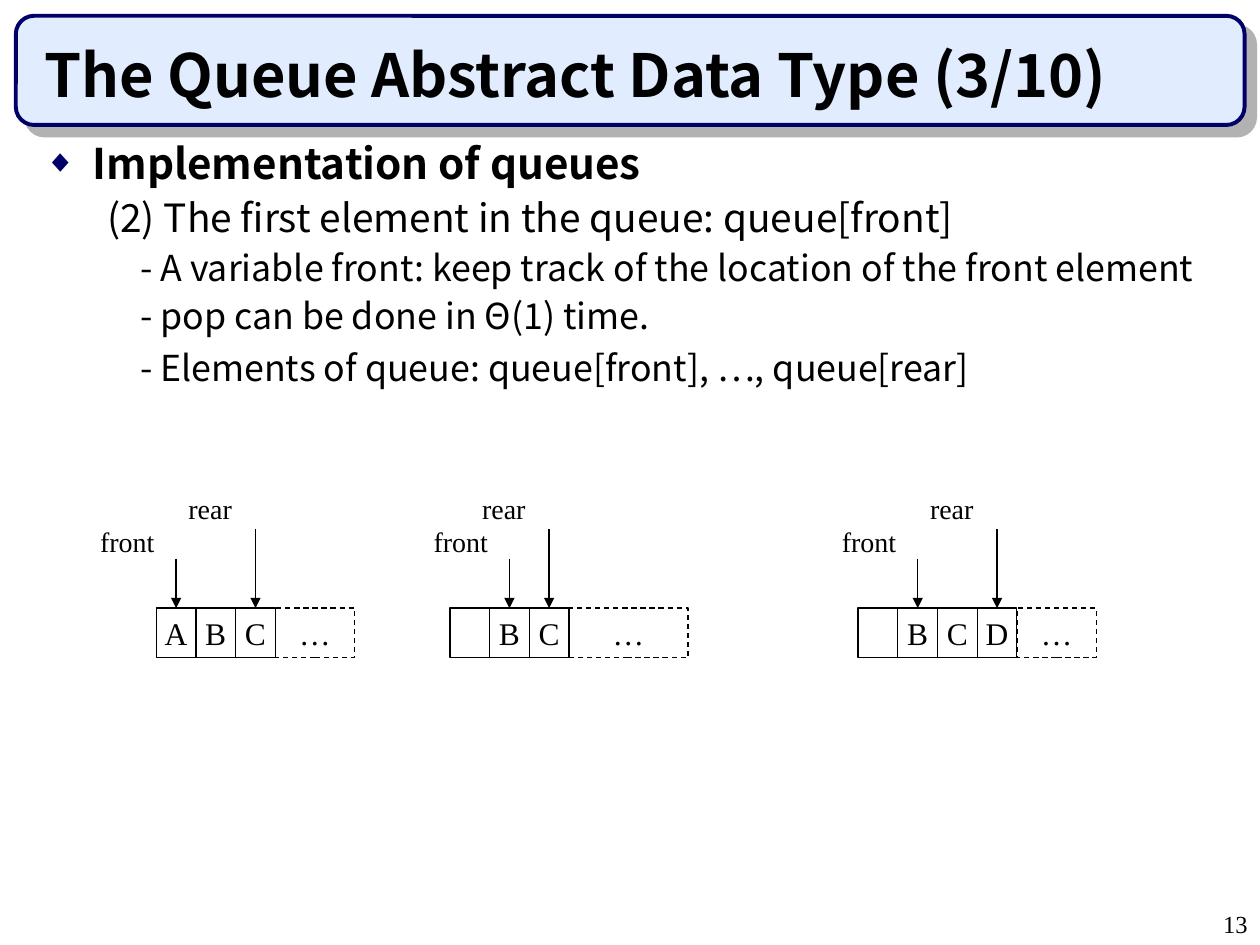
from lxml import etree
from pptx import Presentation
from pptx import util as u
from pptx.dml import color
from pptx.enum import dml, shapes, text
from pptx.oxml import ns

HUES = {"ink": "000000", "navy": "000066", "sky": "E1ECFF", "shade": "B2B2B2"}
SANS, SERIF = "Noto Sans CJK KR", "Times New Roman"
CELL, TALL, TOP = 0.8, 1, 12.26
ITEMS = [
    ("Implementation of queues", 0, 0.97, -0.97, 24.1, 0),
    ("(2) The first element in the queue: queue[front]", 1, 2.06, -0.79, 22.2, 6),
    ("- A variable front: keep track of the location of the front element", 1, 1.93, 0, 20.4, 5.5),
    ("- pop can be done in Θ(1) time.", 1, 1.93, 0, 20.4, 5.5),
    ("- Elements of queue: queue[front], …, queue[rear]", 1, 1.93, 0, 20.4, 7.8),
]
QUEUES = [
    (3.15, ["A", "B", "C"], 1.6, 0, 2),
    (9.07, ["", "B", "C"], 2.4, 1, 2),
    (17.3, ["", "B", "C", "D"], 1.6, 1, 3),
]


def rgb(name):
    return color.RGBColor.from_string(HUES[name])


def apply(item, form):
    for key, value in form.items():
        setattr(item, key, value)


def place(item, left, top, width, height):
    apply(item, dict(left=u.Cm(left), top=u.Cm(top), width=u.Cm(width), height=u.Cm(height)))


def add(node, tag, **attrs):
    return etree.SubElement(node, ns.qn(tag), attrs)


def write(para, words, size, font=SERIF, bold=False, align=text.PP_ALIGN.LEFT):
    para.alignment = align
    run = para.add_run()
    run.text = words
    apply(run.font, dict(size=u.Pt(size), name=font, bold=bold))
    run.font.color.rgb = rgb("ink")


def add_label(slide, words, left, top, width, size, align=text.PP_ALIGN.LEFT):
    box = slide.shapes.add_textbox(u.Cm(left), u.Cm(top), u.Cm(width), u.Cm(0.94))
    box.text_frame.word_wrap = True
    write(box.text_frame.paragraphs[0], words, size, align=align)


def add_banner(slide):
    box = slide.shapes.add_shape(
        shapes.MSO_SHAPE.ROUNDED_RECTANGLE, u.Cm(0.32), u.Cm(0.32), u.Cm(24.77), u.Cm(2.2))
    box.shadow.inherit = False
    box.fill.solid()
    box.fill.fore_color.rgb = rgb("sky")
    box.line.color.rgb = rgb("navy")
    box.line.width = u.Pt(2.25)
    effects = box._element.spPr.find(ns.qn("a:effectLst"))
    shade = add(effects, "a:outerShdw", blurRad="0", dist=str(u.Pt(8.5)), dir="2700000",
                algn="ctr", rotWithShape="0")
    add(shade, "a:srgbClr", val=HUES["shade"])
    slide.shapes._spTree.insert(2, box._element)


def fill_title(title):
    place(title, 0.64, 0.64, 23.92, 1.69)
    apply(title.text_frame, dict(word_wrap=True, auto_size=text.MSO_AUTO_SIZE.NONE,
                                 vertical_anchor=text.MSO_ANCHOR.BOTTOM))
    write(title.text_frame.paragraphs[0], "The Queue Abstract Data Type (3/10)", 34, SANS, True)


def fill_body(body):
    place(body, 0.64, 2.75, 23.92, 6.38)
    frame = body.text_frame
    apply(frame, dict(word_wrap=True, auto_size=text.MSO_AUTO_SIZE.NONE,
                      vertical_anchor=text.MSO_ANCHOR.TOP))
    for index, (words, level, left, indent, size, gap) in enumerate(ITEMS):
        para = frame.add_paragraph() if index else frame.paragraphs[0]
        props = para._p.get_or_add_pPr()
        props.set("marL", str(u.Cm(left)))
        props.set("indent", str(u.Cm(indent)))
        if level:
            add(props, "a:buNone")
        else:
            add(add(props, "a:buClr"), "a:srgbClr", val=HUES["navy"])
            add(props, "a:buSzPct", val="75000")
            add(props, "a:buChar", char="◆")
        apply(para, dict(level=level, line_spacing=0.9, space_before=u.Pt(gap)))
        write(para, words, size, SANS, not level, text.PP_ALIGN.JUSTIFY)


def add_cell(slide, words, left, width=CELL, dash=None):
    cell = slide.shapes.add_shape(
        shapes.MSO_SHAPE.RECTANGLE, u.Cm(left), u.Cm(TOP), u.Cm(width), u.Cm(TALL))
    cell.shadow.inherit = False
    cell.fill.background()
    cell.line.color.rgb = rgb("ink")
    apply(cell.line, dict(width=u.Pt(0.75), dash_style=dash))
    if words:
        apply(cell.text_frame, dict(margin_left=0, margin_right=0, word_wrap=False,
                                    vertical_anchor=text.MSO_ANCHOR.MIDDLE))
        write(cell.text_frame.paragraphs[0], words, 18, align=text.PP_ALIGN.CENTER)
    return cell


def add_mark(slide, words, cell, shift, top, start):
    mid = cell.left + cell.width // 2
    arrow = slide.shapes.add_connector(
        shapes.MSO_CONNECTOR.STRAIGHT, mid, u.Cm(start), mid, cell.top)
    arrow.end_connect(cell, 0)
    arrow.line.color.rgb = rgb("ink")
    arrow.line.width = u.Pt(0.75)
    add(arrow.line._get_or_add_ln(), "a:tailEnd", type="triangle")
    add(arrow._element.spPr, "a:effectLst")
    add_label(slide, words, u.Length(mid).cm - shift, top, 3.4, 16)


def add_queue(slide, left, names, rest, front, rear):
    cells = [add_cell(slide, name, left + i * CELL) for i, name in enumerate(names)]
    add_cell(slide, "…", left + len(names) * CELL, rest, dml.MSO_LINE.DASH)
    add_mark(slide, "rear", cells[rear], 1.6, 9.78, 10.67)
    add_mark(slide, "front", cells[front], 1.78, 10.44, 11.26)


def main():
    deck = Presentation()
    apply(deck, dict(slide_width=u.Cm(25.4), slide_height=u.Cm(19.05)))
    slide = deck.slides.add_slide(deck.slide_layouts[1])
    add_banner(slide)
    fill_title(slide.shapes.title)
    fill_body(slide.placeholders[1])
    for queue in QUEUES:
        add_queue(slide, *queue)
    add_label(slide, "13", 20.12, 18.21, 5.28, 14, text.PP_ALIGN.RIGHT)
    deck.save("out.pptx")


if __name__ == "__main__":
    main()
